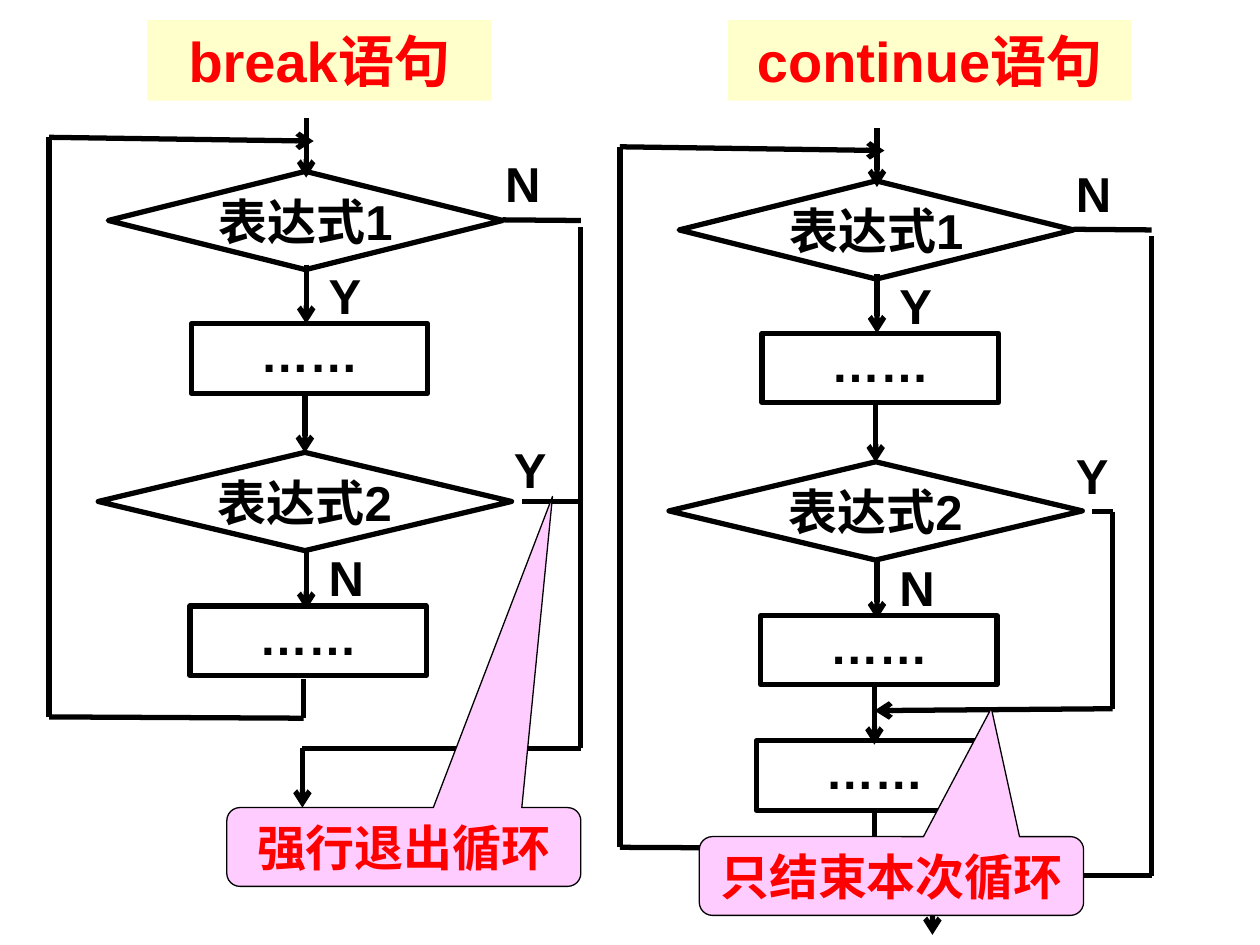
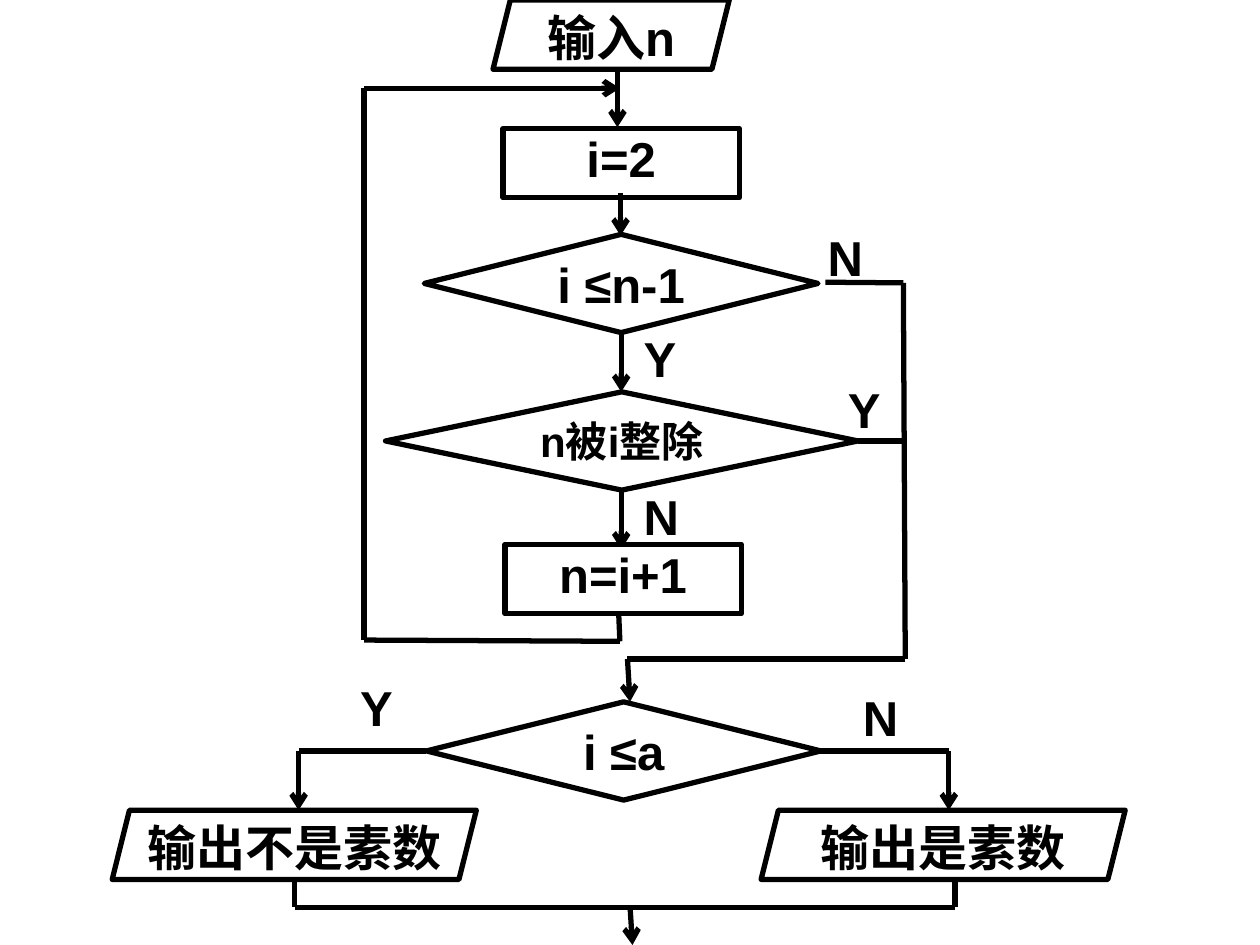
from dataclasses import dataclass
from itertools import pairwise

from lxml.etree import SubElement
from pptx import Presentation
from pptx.dml.color import RGBColor
from pptx.enum.shapes import MSO_CONNECTOR, MSO_SHAPE
from pptx.enum.text import MSO_ANCHOR, PP_ALIGN
from pptx.oxml.ns import qn
from pptx.util import Emu, Inches, Pt

# Shared look
FONT = "Arial"
BLACK, WHITE, RED = "000000", "FFFFFF", "FF0000"
CREAM, PINK = "FFFFCC", "FFCCFF"
TEXT_SIZE, TITLE_SIZE, LONG_TEST_SIZE = 28, 32, 24
FLOW_WIDTH, CALLOUT_WIDTH = 3, 0.75

# Grid: 100 columns by 75 rows of square cells
CELL = Inches(10) // 100
COLUMNS, ROWS = 100, 75
PADDING = (1, 0.5)
NO_PADDING = (0, 0)

DECISION = MSO_SHAPE.FLOWCHART_DECISION
PROCESS = MSO_SHAPE.FLOWCHART_PROCESS
DATA = MSO_SHAPE.PARALLELOGRAM
STEP_HEIGHT = {DECISION: 7.8, PROCESS: 5.5, DATA: 5.5}


@dataclass(frozen=True)
class Step:
    """A flowchart block, placed by its centre column and top row."""
    kind: MSO_SHAPE
    text: str
    centre: float
    top: float
    width: float = 18.75
    size: int = TEXT_SIZE


@dataclass(frozen=True)
class Branch:
    """A Y or N beside a decision."""
    text: str
    left: float
    top: float


@dataclass(frozen=True)
class Route:
    """A chain of straight lines, with an arrow at its end if asked."""
    points: tuple[tuple[float, float], ...]
    arrow: bool = False


@dataclass(frozen=True)
class Heading:
    text: str
    left: float
    width: float


@dataclass(frozen=True)
class Callout:
    text: str
    left: float
    top: float
    width: float
    tip: tuple[float, float]


Part = Step | Branch | Route


def cells(count: float) -> Emu:
    return Emu(round(count * CELL))


def colour(code: str) -> RGBColor:
    return RGBColor.from_string(code)


def write(shape, text: str, ink: str = BLACK, size: int = TEXT_SIZE,
          align=PP_ALIGN.CENTER, padding=NO_PADDING, wrap: bool = False,
          anchor=MSO_ANCHOR.TOP) -> None:
    frame = shape.text_frame
    frame.word_wrap = wrap
    frame.vertical_anchor = anchor
    frame.margin_left = frame.margin_right = cells(padding[0])
    frame.margin_top = frame.margin_bottom = cells(padding[1])
    paragraph = frame.paragraphs[0]
    paragraph.alignment = align
    run = paragraph.add_run()
    run.text = text
    run.font.name, run.font.size, run.font.bold = FONT, Pt(size), True
    run.font.color.rgb = colour(ink)


def add_block(slide, kind, left: float, top: float, width: float, height: float,
              fill: str = WHITE, line_width: float = FLOW_WIDTH):
    block = slide.shapes.add_shape(kind, *map(cells, (left, top, width, height)))
    block.shadow.inherit = False
    block.fill.solid()
    block.fill.fore_color.rgb = colour(fill)
    if line_width:
        block.line.width = Pt(line_width)
        block.line.color.rgb = colour(BLACK)
    else:
        block.line.fill.background()
    return block


def draw_step(slide, step: Step, dx: float, dy: float) -> None:
    block = add_block(slide, step.kind, step.centre - step.width / 2 + dx,
                      step.top + dy, step.width, STEP_HEIGHT[step.kind])
    # Decisions narrow towards their edges, so their text sits on the middle row
    anchor = MSO_ANCHOR.MIDDLE if step.kind == DECISION else MSO_ANCHOR.TOP
    write(block, step.text, size=step.size, anchor=anchor)


def draw_branch(slide, branch: Branch, dx: float, dy: float) -> None:
    label = slide.shapes.add_textbox(cells(branch.left + dx), cells(branch.top + dy),
                                     cells(5.5), cells(5.7))
    write(label, branch.text, align=PP_ALIGN.LEFT, padding=PADDING, wrap=True)


def draw_route(slide, route: Route, dx: float, dy: float) -> None:
    corners = [(cells(x + dx), cells(y + dy)) for x, y in route.points]
    for start, end in pairwise(corners):
        segment = slide.shapes.add_connector(MSO_CONNECTOR.STRAIGHT, *start, *end)
        segment.line.width = Pt(FLOW_WIDTH)
        segment.line.color.rgb = colour(BLACK)
        properties = segment._element.spPr
        if route.arrow and end == corners[-1]:
            SubElement(properties.find(qn("a:ln")), qn("a:tailEnd"), type="arrow")
        SubElement(properties, qn("a:effectLst"))


DRAW = {Step: draw_step, Branch: draw_branch, Route: draw_route}


def draw_flow(slide, parts: list[Part], dx: float = 0, dy: float = 0) -> None:
    for part in parts:
        DRAW[type(part)](slide, part, dx, dy)


def draw_heading(slide, heading: Heading) -> None:
    band = add_block(slide, MSO_SHAPE.RECTANGLE, heading.left, 1.6,
                     heading.width, 6.4, CREAM, 0)
    write(band, heading.text, RED, TITLE_SIZE, padding=PADDING, wrap=True)


def draw_callout(slide, callout: Callout) -> None:
    bubble = add_block(slide, MSO_SHAPE.ROUNDED_RECTANGULAR_CALLOUT, callout.left,
                       callout.top, callout.width, 6.25, PINK, CALLOUT_WIDTH)
    bubble.adjustments[0], bubble.adjustments[1] = callout.tip
    write(bubble, callout.text, RED, padding=PADDING)


def down(column: float, top: float, length: float = 4.7) -> Route:
    return Route(((column, top), (column, top + length)), arrow=True)


def loop_flow(body_end: float, loop_end: float, exit_row: float) -> list[Part]:
    """The loop that both statements share, in the left chart's cells."""
    return [
        Branch("N", 39.1, 11.7),
        # Back to the first test
        Route(((24.1, body_end), (24.1, loop_end), (3.9, loop_end - 0.1),
               (3.9, 10.9), (24.9, 11.2)), arrow=True),
        # Out of the loop
        Route(((39.9, 17.45), (46.1, 17.5))),
        Route(((46.1, 18), (46.1, exit_row), (24, exit_row))),
        # Tests and body
        Step(DECISION, "表达式1", 24.25, 13.6, 31.3),
        down(24.3, 9.4),
        Branch("Y", 25.1, 20.6),
        down(24.3, 21),
        Step(DECISION, "表达式2", 24.2, 35.9, 32.8),
        Branch("N", 25.1, 43),
        down(24.3, 43.7),
        Step(PROCESS, "……", 24.55, 25.7),
        down(24.2, 31.25),
        Step(PROCESS, "……", 24.45, 48.1),
    ]


# Left chart: break leaves the loop
BREAK_JUMP = [
    down(24, 59.4),
    Route(((46.1, 39.8), (41.4, 39.8))),
    Branch("Y", 39.8, 34.4),
]

# Right chart: continue skips the rest of the body
CONTINUE_SHIFT = (45.3, 0.75)
CONTINUE_JUMP = [
    down(74, 69.5),
    Step(PROCESS, "……", 69.4, 58.8),
    down(69.4, 54.4),
    Route(((86.7, 40.6), (88.3, 40.6), (88.3, 56.25), (69.4, 56.4)), arrow=True),
    Branch("Y", 84.4, 34.9),
]

HEADINGS = [Heading("break语句", 11.7, 27.3), Heading("continue语句", 57.8, 32)]
CALLOUTS = [
    Callout("强行退出循环", 18, 64.1, 28.1, (0.42, -4.45)),
    Callout("只结束本次循环", 55.5, 66.4, 30.5, (0.26, -2.13)),
]

# Prime test chart
PRIME_FLOW = [
    # Loop back and way out
    Branch("N", 64.7, 17.6),
    Route(((49.1, 48.6), (49.2, 50.9), (28.9, 50.8), (28.9, 7), (49.2, 7)), arrow=True),
    Route(((65.5, 22.4), (71.7, 22.45), (71.85, 52.3), (49.8, 52.3), (50, 55.7)),
          arrow=True),
    # Loop
    Branch("N", 50.1, 38.1),
    down(49.3, 38.9),
    Branch("Y", 66.3, 29.6),
    Step(PROCESS, "n=i+1", 49.45, 43.2),
    Step(DATA, "输入n", 48.5, 0),
    down(49, 5.4),
    Step(PROCESS, "i=2", 49.3, 10.2),
    Step(DECISION, "i ≤n-1", 49.3, 18.6, 31.25),
    down(49.25, 15.3, 3.4),
    Branch("Y", 50.1, 25.6),
    down(49.3, 26.4),
    Step(DECISION, "n被i整除", 49.35, 31.1, 37.5, LONG_TEST_SIZE),
    Route(((71.9, 35), (68.1, 35))),
    # Verdict
    Step(DECISION, "i ≤a", 49.5, 55.7, 31.3),
    Route(((33.8, 59.6), (23.7, 59.6), (23.7, 64.3)), arrow=True),
    Step(DATA, "输出不是素数", 23.35, 64.3, 28.9),
    Branch("Y", 27.6, 53.3),
    Route(((65.1, 59.6), (75.3, 59.6), (75.3, 64.3)), arrow=True),
    Step(DATA, "输出是素数", 74.85, 64.3, 28.9),
    Branch("N", 67.5, 54.1),
    # End
    Route(((23.4, 69.7), (23.4, 72), (75.8, 72), (75.8, 69.7))),
    Route(((50, 71.9), (50.2, 75)), arrow=True),
]


def main() -> None:
    deck = Presentation()
    deck.slide_width, deck.slide_height = cells(COLUMNS), cells(ROWS)
    blank = deck.slide_layouts[6]

    # Slide 1: break and continue side by side
    statements = deck.slides.add_slide(blank)
    draw_flow(statements, loop_flow(53.9, 57, 59.4) + BREAK_JUMP)
    draw_flow(statements, loop_flow(63.5, 66.6, 68.75), *CONTINUE_SHIFT)
    draw_flow(statements, CONTINUE_JUMP)
    for heading in HEADINGS:
        draw_heading(statements, heading)
    for callout in CALLOUTS:
        draw_callout(statements, callout)

    # Slide 2: prime test
    draw_flow(deck.slides.add_slide(blank), PRIME_FLOW)

    deck.save("out.pptx")


if __name__ == "__main__":
    main()
